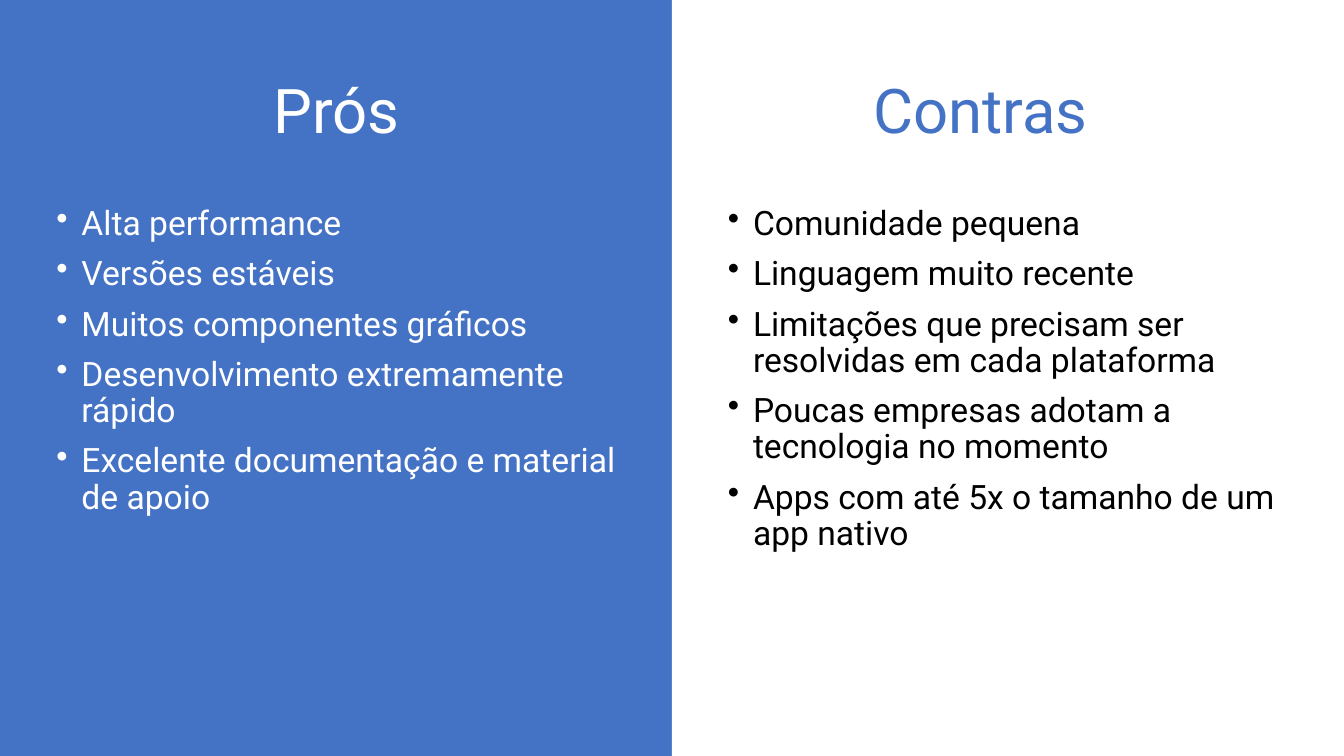
from lxml import etree
from pptx import Presentation
from pptx.dml.color import RGBColor
from pptx.enum import shapes, text
from pptx.oxml.ns import qn
from pptx.util import Inches, Pt

THEME = {
    "font": "Roboto",
    "blue": RGBColor.from_string("4472C4"),
    "white": RGBColor.from_string("FFFFFF"),
    "black": RGBColor.from_string("000000"),
    "heading_size": Pt(44),
    "point_size": Pt(24),
    "line_spacing": 0.9,
    "point_gap": Pt(10),
}

SIDES = [
    {
        "heading": "Prós",
        "heading_left": 2.55,
        "heading_width": 1.58,
        "points_left": 0.46,
        "panel": "blue",
        "heading_color": "white",
        "point_color": "white",
        "points": [
            "Alta performance",
            "Versões estáveis",
            "Muitos componentes gráficos",
            "Desenvolvimento extremamente rápido",
            "Excelente documentação e material de apoio",
        ],
    },
    {
        "heading": "Contras",
        "heading_left": 8.53,
        "heading_width": 2.39,
        "points_left": 7.12,
        "panel": "white",
        "heading_color": "blue",
        "point_color": "black",
        "points": [
            "Comunidade pequena",
            "Linguagem muito recente",
            "Limitações que precisam ser resolvidas em cada plataforma",
            "Poucas empresas adotam a tecnologia no momento",
            "Apps com até 5x o tamanho de um app nativo",
        ],
    },
]

SLIDE_WIDTH, SLIDE_HEIGHT = Inches(13.33), Inches(7.5)
HEADING_TOP, HEADING_HEIGHT = 0.4, 1.45
POINTS_TOP, POINTS_WIDTH, POINTS_HEIGHT = 2, 5.75, 4.76
INDENT = Inches(0.25)


def apply(target, values):
    for name, value in values.items():
        setattr(target, name, value)


def add_panel(slide, index, color):
    width = SLIDE_WIDTH // 2
    panel = slide.shapes.add_shape(
        shapes.MSO_SHAPE.RECTANGLE, index * width, 0, width, SLIDE_HEIGHT)
    panel.shadow.inherit = False
    panel.fill.solid()
    panel.fill.fore_color.rgb = THEME[color]
    panel.line.fill.background()


def add_lines(slide, box, lines, size, color, anchor, align, bulleted):
    frame = slide.shapes.add_textbox(*map(Inches, box)).text_frame
    apply(frame, {"word_wrap": True, "vertical_anchor": anchor})
    for index, line in enumerate(lines):
        paragraph = frame.paragraphs[0] if index == 0 else frame.add_paragraph()
        apply(paragraph, {
            "text": line,
            "alignment": align,
            "line_spacing": THEME["line_spacing"],
            "space_before": THEME["point_gap"] if index else Pt(0),
        })
        if bulleted:
            properties = paragraph._p.get_or_add_pPr()
            properties.set("marL", str(INDENT))
            properties.set("indent", str(-INDENT))
            etree.SubElement(properties, qn("a:buChar")).set("char", "•")
        apply(paragraph.font, {"name": THEME["font"], "size": THEME[size]})
        paragraph.font.color.rgb = THEME[color]


def main():
    deck = Presentation()
    apply(deck, {"slide_width": SLIDE_WIDTH, "slide_height": SLIDE_HEIGHT})
    slide = deck.slides.add_slide(deck.slide_layouts[6])
    for index, side in enumerate(SIDES):
        add_panel(slide, index, side["panel"])
    for side in SIDES:
        add_lines(
            slide,
            (side["heading_left"], HEADING_TOP, side["heading_width"], HEADING_HEIGHT),
            [side["heading"]], "heading_size", side["heading_color"],
            text.MSO_ANCHOR.MIDDLE, text.PP_ALIGN.CENTER, False)
        add_lines(
            slide,
            (side["points_left"], POINTS_TOP, POINTS_WIDTH, POINTS_HEIGHT),
            side["points"], "point_size", side["point_color"],
            text.MSO_ANCHOR.TOP, text.PP_ALIGN.LEFT, True)
    deck.save("out.pptx")


if __name__ == "__main__":
    main()
